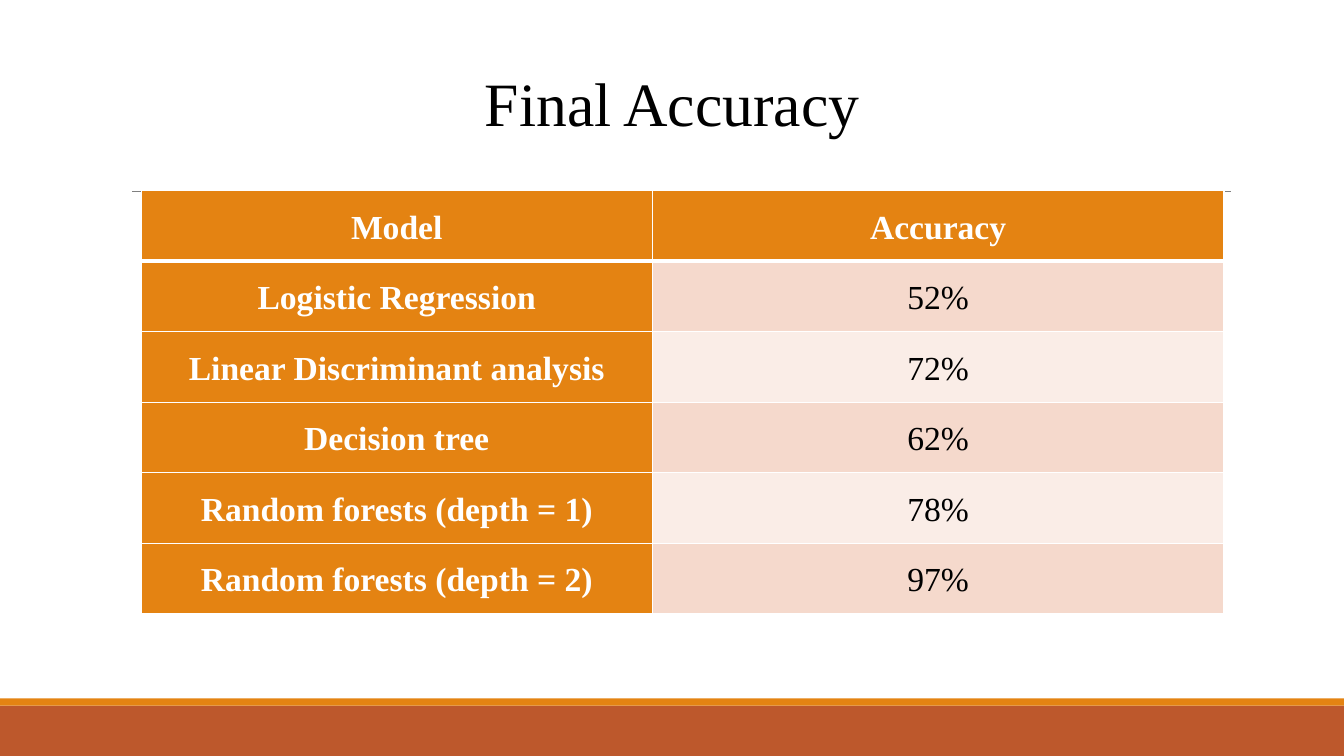
"""Build the Final Accuracy slide with a table of model results."""
from lxml.etree import SubElement
from pptx import Presentation
from pptx.dml.color import RGBColor
from pptx.enum.shapes import MSO_CONNECTOR, MSO_SHAPE
from pptx.enum.text import MSO_AUTO_SIZE, PP_ALIGN
from pptx.oxml.ns import qn
from pptx.util import Inches, Pt

TITLE = "Final Accuracy"
RESULTS = [
    ("Model", "Accuracy"),
    ("Logistic Regression", "52%"),
    ("Linear Discriminant analysis", "72%"),
    ("Decision tree", "62%"),
    ("Random forests (depth = 1)", "78%"),
    ("Random forests (depth = 2)", "97%"),
]
COLUMN_WIDTHS = (5.07, 5.67)
ROW_HEIGHT = 0.7

FONT = "Times New Roman"
WHITE = RGBColor(0xFF, 0xFF, 0xFF)
BLACK = RGBColor(0, 0, 0)
GRAY = RGBColor(0x80, 0x80, 0x80)
ORANGE = RGBColor(0xE4, 0x83, 0x12)
RUST = RGBColor(0xBD, 0x58, 0x2C)
BANDS = (RGBColor(0xFA, 0xED, 0xE7), RGBColor(0xF5, 0xD9, 0xCC))
FOOTER_BARS = [(7, 0.5, RUST), (6.93, 0.07, ORANGE)]


def write(frame, text, size, color=BLACK, bold=False, spacing=None, indent=None):
    para = frame.paragraphs[0]
    para.alignment = PP_ALIGN.CENTER
    if spacing:
        para.line_spacing = spacing
    if indent is not None:
        properties = para._p.get_or_add_pPr()
        properties.set("marL", "0")
        properties.set("indent", str(Inches(indent)))
    span = para.add_run()
    span.text = text
    span.font.name = FONT
    span.font.size = Pt(size)
    span.font.bold = bold
    span.font.color.rgb = color


def add_borders(cell, bottom):
    properties = cell._tc.get_or_add_tcPr()
    widths = {"a:lnL": 1, "a:lnR": 1, "a:lnT": 1, "a:lnB": bottom}
    for position, (side, width) in enumerate(widths.items()):
        line = SubElement(properties, qn(side), w=str(Pt(width)))
        fill = SubElement(line, qn("a:solidFill"))
        SubElement(fill, qn("a:srgbClr"), val=str(WHITE))
        properties.insert(position, line)


def add_footer(page, width):
    for top, height, color in FOOTER_BARS:
        bar = page.shapes.add_shape(
            MSO_SHAPE.RECTANGLE, 0, Inches(top), width, Inches(height))
        bar.shadow.inherit = False
        bar.fill.solid()
        bar.fill.fore_color.rgb = color
        bar.line.fill.background()


def add_rule(page):
    rule = page.shapes.add_connector(
        MSO_CONNECTOR.STRAIGHT, Inches(1.31), Inches(1.9), Inches(12.21), Inches(1.9))
    rule.line.color.rgb = GRAY
    rule.line.width = Pt(0.5)
    SubElement(rule._element.spPr, qn("a:effectLst"))


def add_results(page):
    table = page.shapes.add_table(
        len(RESULTS), len(COLUMN_WIDTHS), Inches(1.4), Inches(1.89),
        Inches(sum(COLUMN_WIDTHS)), Inches(ROW_HEIGHT * len(RESULTS))).table
    table.first_col = True
    for column, width in zip(table.columns, COLUMN_WIDTHS):
        column.width = Inches(width)
    for row_index, values in enumerate(RESULTS):
        table.rows[row_index].height = Inches(ROW_HEIGHT)
        for column_index, value in enumerate(values):
            cell = table.cell(row_index, column_index)
            heading = row_index == 0 or column_index == 0
            cell.margin_left = cell.margin_right = Inches(0.07)
            cell.margin_top = cell.margin_bottom = 0
            cell.fill.solid()
            cell.fill.fore_color.rgb = ORANGE if heading else BANDS[row_index % 2]
            add_borders(cell, bottom=3 if row_index == 0 else 1)
            write(cell.text_frame, value, 24, color=WHITE if heading else BLACK,
                  bold=heading, spacing=1.5, indent=-0.25)


def add_title(page):
    box = page.shapes.add_textbox(Inches(1.17), Inches(0.59), Inches(11), Inches(0.84))
    box.text_frame.word_wrap = True
    box.text_frame.auto_size = MSO_AUTO_SIZE.SHAPE_TO_FIT_TEXT
    write(box.text_frame, TITLE, 44)


def main():
    deck = Presentation()
    deck.slide_width = Inches(13.33)
    deck.slide_height = Inches(7.5)
    page = deck.slides.add_slide(deck.slide_layouts[6])
    add_footer(page, deck.slide_width)
    add_rule(page)
    add_results(page)
    add_title(page)
    deck.save("out.pptx")


if __name__ == "__main__":
    main()
